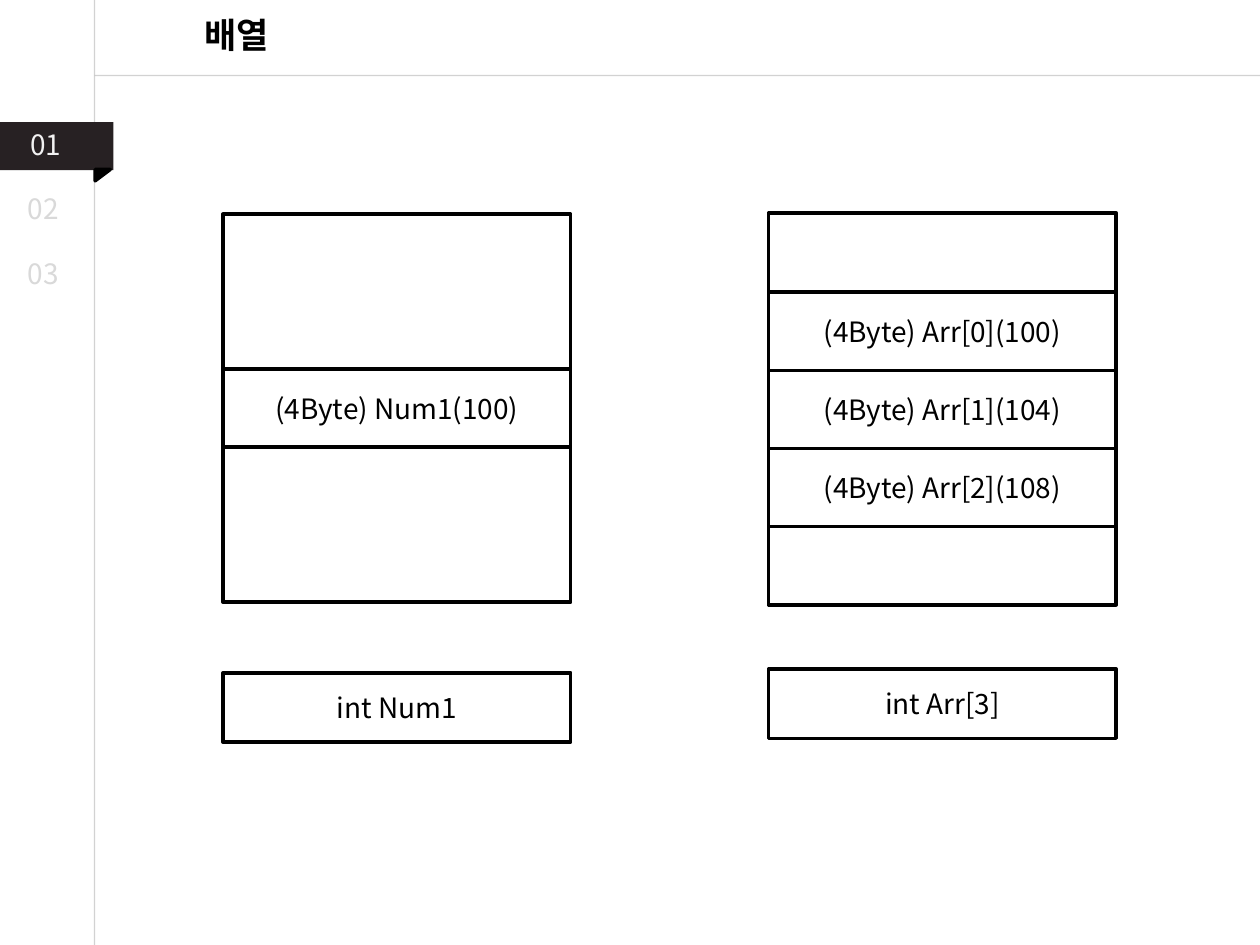
from lxml import etree
from pptx import Presentation
from pptx.dml.color import RGBColor
from pptx.enum.shapes import MSO_CONNECTOR, MSO_SHAPE
from pptx.enum.text import MSO_ANCHOR, MSO_AUTO_SIZE, PP_ALIGN
from pptx.oxml.ns import qn
from pptx.util import Inches, Pt

FONT = "Noto Sans CJK KR"
WIDTH, HEIGHT = 10, 7.5
RAIL_X, HEADER_Y = 0.75, 0.6
BOX_WIDTH, ROW, LABEL_HEIGHT = 2.76, 0.62, 0.55

TITLE = "배열"
SECTIONS = [("01", 0.14, 0.96, "F2F2F2"), ("02", 0.12, 1.47, "D9D9D9"), ("03", 0.12, 1.99, "D9D9D9")]
MEMORY = [
    {"left": 1.77, "top": 1.7, "label": "int Num1", "label_top": 5.34,
     "cells": [("", 1.23), ("(4Byte) Num1(100)", ROW), ("", 1.23)]},
    {"left": 6.1, "top": 1.69, "label": "int Arr[3]", "label_top": 5.31,
     "cells": [("", 0.63), ("(4Byte) Arr[0](100)", ROW), ("(4Byte) Arr[1](104)", ROW),
               ("(4Byte) Arr[2](108)", ROW), ("", ROW)]},
]

prs = Presentation()
prs.slide_width, prs.slide_height = Inches(WIDTH), Inches(HEIGHT)
slide = prs.slides.add_slide(prs.slide_layouts[5])
shapes = slide.shapes


def color(value):
    return RGBColor.from_string(value)


def write(shape, text, size=16, ink="000000", bold=False, align=PP_ALIGN.CENTER, anchor=MSO_ANCHOR.MIDDLE):
    frame = shape.text_frame
    frame.word_wrap = True
    frame.auto_size = MSO_AUTO_SIZE.NONE
    frame.vertical_anchor = anchor
    paragraph = frame.paragraphs[0]
    paragraph.alignment = align
    run = paragraph.add_run()
    run.text = text
    font = run.font
    font.name, font.size, font.bold = FONT, Pt(size), bold
    font.color.rgb = color(ink)
    etree.SubElement(run._r.get_or_add_rPr(), qn("a:ea")).set("typeface", FONT)


def add_block(box, kind=MSO_SHAPE.RECTANGLE, fill=None, outline="000000"):
    shape = shapes.add_shape(kind, *map(Inches, box))
    shape.shadow.inherit = False
    if fill:
        shape.fill.solid()
        shape.fill.fore_color.rgb = color(fill)
    else:
        shape.fill.background()
    if outline:
        shape.line.color.rgb = color(outline)
        shape.line.width = Pt(2)
    else:
        shape.line.fill.background()
    return shape


def add_rule(*ends):
    rule = shapes.add_connector(MSO_CONNECTOR.STRAIGHT, *map(Inches, ends))
    rule.line.color.rgb = color("A6A6A6")
    rule.line.width = Pt(0.75)
    tint = rule.line._ln.find(".//" + qn("a:srgbClr"))
    etree.SubElement(tint, qn("a:alpha")).set("val", "50000")
    etree.SubElement(rule._element.spPr, qn("a:effectLst"))


add_rule(RAIL_X, 0, RAIL_X, HEIGHT)
add_rule(WIDTH, HEADER_Y, RAIL_X, HEADER_Y)

add_block((0, 0.97, 0.9, 0.38), fill="272123", outline=None)
fold = add_block((0.77, 1.33, 0.09, 0.12), MSO_SHAPE.RIGHT_TRIANGLE, fill="000000")
fold.rotation = 90

for number, left, top, ink in SECTIONS:
    box = shapes.add_textbox(Inches(left), Inches(top), Inches(0.55), Inches(0.37))
    write(box, number, ink=ink, align=PP_ALIGN.LEFT, anchor=MSO_ANCHOR.TOP)

title = shapes.title
title.left, title.top, title.width, title.height = map(Inches, (0.81, 0.06, 2.14, 0.44))
write(title, TITLE, size=20, bold=True, anchor=MSO_ANCHOR.TOP)

for stack in MEMORY:
    top = stack["top"]
    for text, height in stack["cells"]:
        cell = add_block((stack["left"], top, BOX_WIDTH, height))
        if text:
            write(cell, text)
        top += height
    label = add_block((stack["left"], stack["label_top"], BOX_WIDTH, LABEL_HEIGHT))
    write(label, stack["label"])

prs.save("out.pptx")
